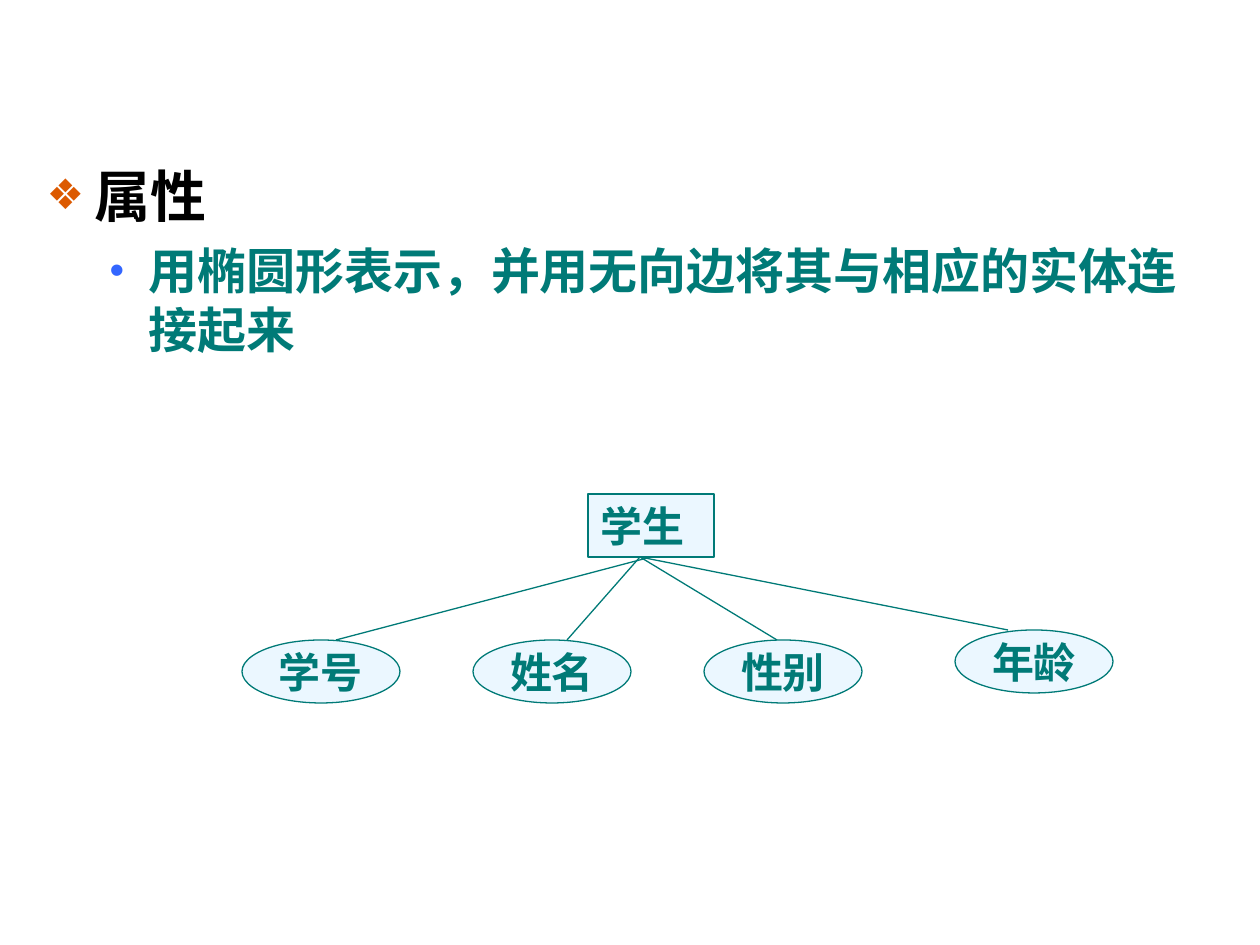
from dataclasses import dataclass

from lxml.etree import SubElement
from pptx import Presentation
from pptx.dml.color import RGBColor as RGB
from pptx.enum.shapes import MSO_CONNECTOR as LINE, MSO_SHAPE as SHAPE
from pptx.enum.text import MSO_ANCHOR as ANCHOR, MSO_AUTO_SIZE as FIT, PP_ALIGN as ALIGN
from pptx.oxml.ns import qn
from pptx.util import Emu, Pt


@dataclass(frozen=True)
class Theme:
    """Colours, fonts and type sizes of the slide."""
    ink: str = "000000"
    teal: str = "007A77"
    pale: str = "EBF7FF"
    orange: str = "DC5900"
    blue: str = "3366FF"
    body_font: str = "Arial"
    node_font: str = "Times New Roman"
    heading: int = 32
    detail: int = 28
    node: int = 24
    line: float = 0.75


THEME = Theme()
BOTTOM = 2
NODE_H = 63
ELLIPSE_W = 158
ELLIPSE_STEP = 231


def px(n):
    """Turn pixels at 126 to the inch into EMU."""
    return Emu(round(n * 914400 / 126))


def apply(obj, **values):
    """Set each named attribute on an object."""
    for name, value in values.items():
        setattr(obj, name, value)


def style_font(font, name, size, color):
    """Make a font bold in the given face, size and colour."""
    apply(font, name=name, size=Pt(size), bold=True)
    font.color.rgb = RGB.from_string(color)


def style_line(line):
    """Give an outline the diagram's colour and width."""
    line.color.rgb = RGB.from_string(THEME.teal)
    line.width = Pt(THEME.line)


def set_bullet(p, char, color, percent, left, hang):
    """Add a coloured bullet with a hanging indent."""
    pPr = p._p.get_or_add_pPr()
    pPr.set("marL", str(px(left)))
    pPr.set("indent", str(-px(hang)))
    SubElement(SubElement(pPr, qn("a:buClr")), qn("a:srgbClr"), val=color)
    SubElement(pPr, qn("a:buSzPct"), val=str(percent * 1000))
    SubElement(pPr, qn("a:buFont"), typeface=THEME.body_font)
    SubElement(pPr, qn("a:buChar"), char=char)


def add_body(sl):
    """Fill the body placeholder with the heading and its detail."""
    title, body = sl.placeholders[0], sl.placeholders[1]
    title._element.getparent().remove(title._element)
    apply(body, left=px(34), top=px(155), width=px(1177), height=px(578))
    tf = body.text_frame
    apply(tf, auto_size=FIT.NONE, word_wrap=True, vertical_anchor=ANCHOR.TOP)
    items = [
        ("属性", 0, 0, THEME.heading, THEME.ink, ("❖", THEME.orange, 75, 48, 48)),
        ("用椭圆形表示，并用无向边将其与相应的实体连接起来", 1, 7,
         THEME.detail, THEME.teal, ("•", THEME.blue, 85, 102, 39)),
    ]
    for i, (text, level, before, size, color, bullet) in enumerate(items):
        p = tf.add_paragraph() if i else tf.paragraphs[0]
        set_bullet(p, *bullet)
        apply(p, level=level, space_before=Pt(before))
        r = p.add_run()
        r.text = text
        style_font(r.font, THEME.body_font, size, color)


def add_node(shapes, kind, text, x, y, w, align, **frame):
    """Add a labelled entity or attribute shape."""
    sp = shapes.add_shape(kind, px(x), px(y), px(w), px(NODE_H))
    sp.shadow.inherit = False
    sp.fill.solid()
    sp.fill.fore_color.rgb = RGB.from_string(THEME.pale)
    style_line(sp.line)
    apply(sp.text_frame, **frame)
    p = sp.text_frame.paragraphs[0]
    p.alignment = align
    r = p.add_run()
    r.text = text
    style_font(r.font, THEME.node_font, THEME.node, THEME.teal)
    return sp


def add_edge(shapes, start, end):
    """Add a plain line between two points."""
    cx = shapes.add_connector(LINE.STRAIGHT, *map(px, start + end))
    style_line(cx.line)
    SubElement(cx._element.spPr, qn("a:effectLst"))
    return cx


def add_diagram(sl):
    """Draw the entity, its attributes and the edges between them."""
    shapes = sl.shapes.add_group_shape().shapes
    entity = add_node(shapes, SHAPE.RECTANGLE, "学生", 588, 494, 126, ALIGN.LEFT,
                      word_wrap=True, vertical_anchor=ANCHOR.TOP,
                      auto_size=FIT.SHAPE_TO_FIT_TEXT)
    attributes = [
        ("学号", 242, 640, 651, 336),
        ("姓名", 242 + ELLIPSE_STEP, 640, 640, 567),
        ("性别", 242 + 2 * ELLIPSE_STEP, 640, 640, 777),
        ("年龄", 955, 630, 640, 1008),
    ]
    for i, (text, x, y, start_x, end_x) in enumerate(attributes):
        add_node(shapes, SHAPE.OVAL, text, x, y, ELLIPSE_W, ALIGN.CENTER,
                 word_wrap=False, vertical_anchor=ANCHOR.MIDDLE)
        edge = add_edge(shapes, (start_x, 557), (end_x, y))
        if i == 0:
            edge.begin_connect(entity, BOTTOM)


def main():
    """Build and save the slide."""
    prs = Presentation()
    apply(prs, slide_width=px(1260), slide_height=px(945))
    sl = prs.slides.add_slide(prs.slide_layouts[1])
    add_body(sl)
    add_diagram(sl)
    prs.save("out.pptx")


if __name__ == "__main__":
    main()
